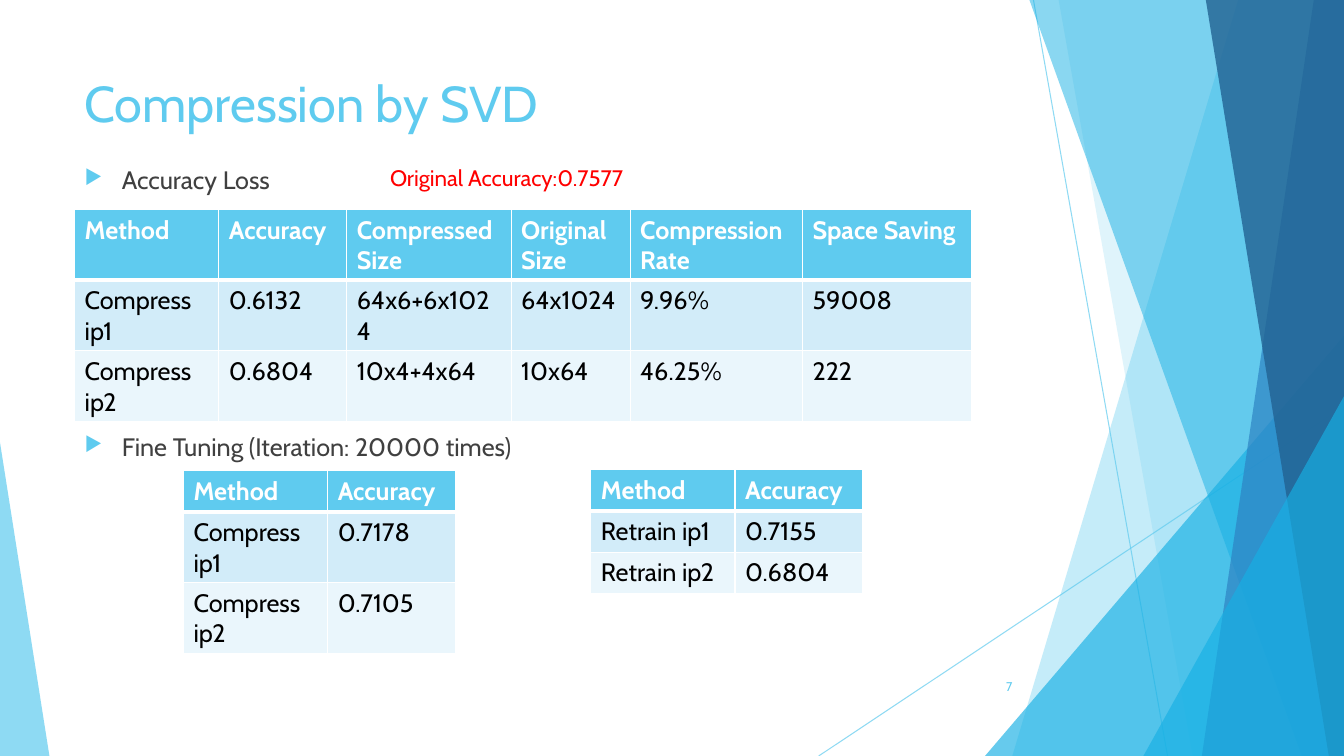
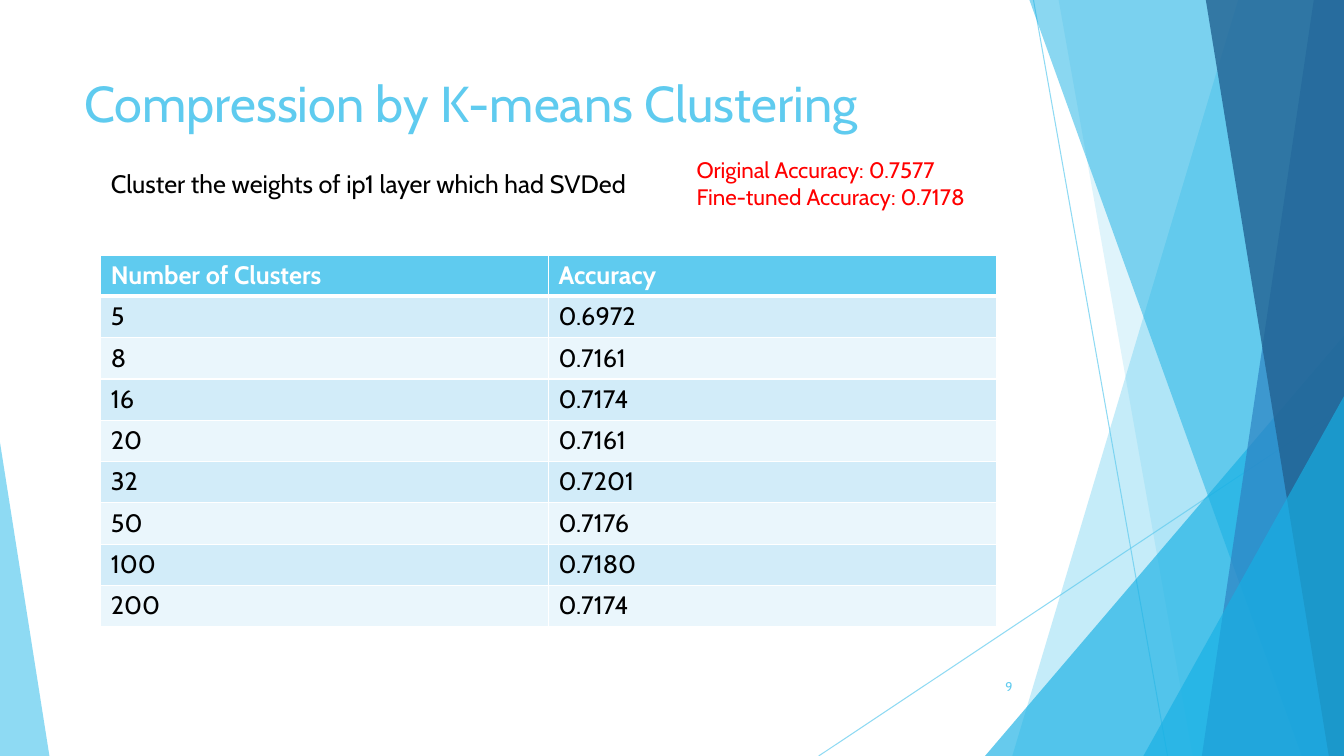
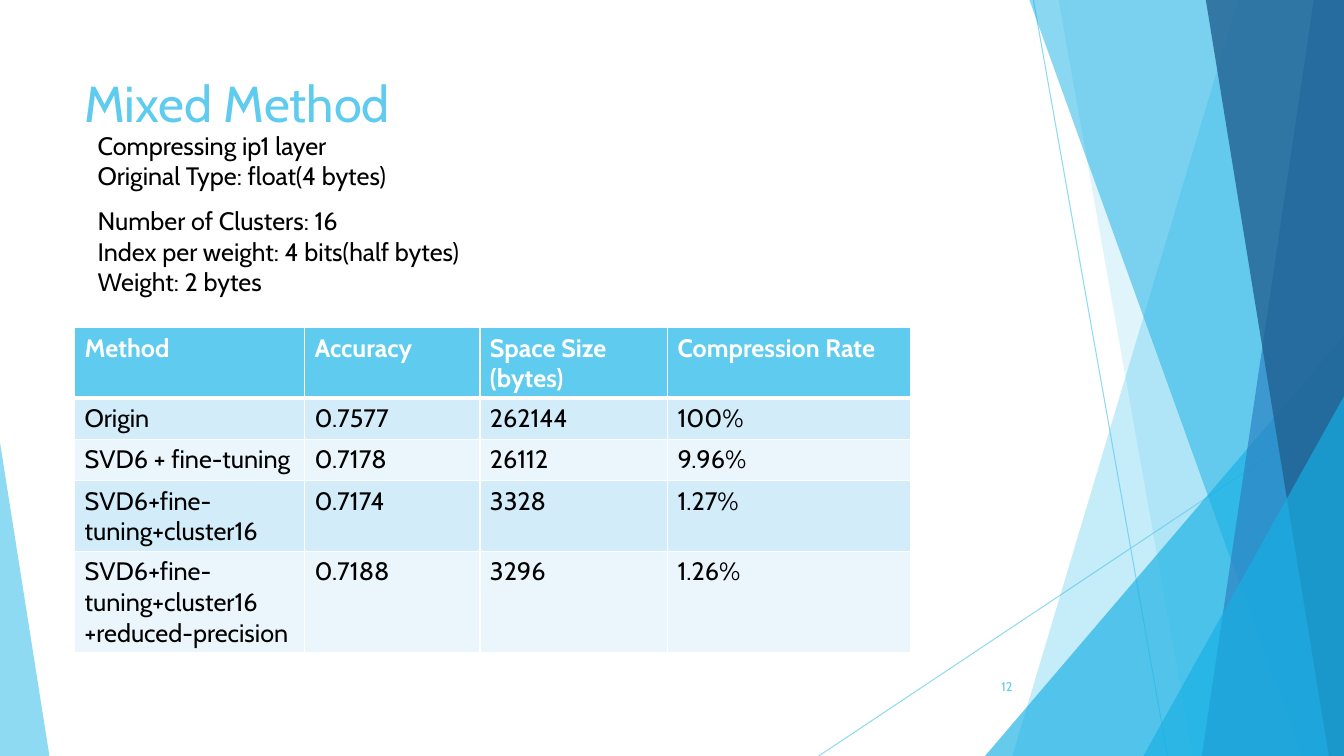
from lxml.etree import SubElement
from pptx import Presentation
from pptx.dml.color import RGBColor
from pptx.enum.shapes import MSO_CONNECTOR, MSO_SHAPE
from pptx.enum.text import MSO_ANCHOR, PP_ALIGN
from pptx.oxml import parse_xml
from pptx.oxml.ns import nsdecls, qn
from pptx.util import Inches, Pt

WIDTH, HEIGHT = 13.33, 7.5
FONT = "Cabin"
COLORS = {
    "sky": "5FCBEF", "cyan": "17B0E4", "blue": "2E83C3", "navy": "226292",
    "white": "FFFFFF", "black": "000000", "gray": "404040", "red": "FF0000",
    "band_dark": "D2ECF9", "band_light": "EAF6FC",
}
LEFT = 0.74
ROW_HEIGHT = 0.41


def rgb(name):
    return RGBColor.from_string(COLORS[name])


def set_opacity(shape, percent):
    for color in shape.element.spPr.iter(qn("a:srgbClr")):
        SubElement(color, qn("a:alpha")).set("val", str(percent * 1000))


class Slides:
    """Holds the shared style and the page being filled."""

    def __init__(self):
        self.deck = Presentation()
        self.deck.slide_width, self.deck.slide_height = Inches(WIDTH), Inches(HEIGHT)
        self.page = None

    def add_page(self, title, number):
        self.page = self.deck.slides.add_slide(self.deck.slide_layouts[6])
        self.backdrop()
        self.text(LEFT, 0.67, 9.4, 1.44, [title], 36, "sky")
        box = self.text(9.39, 6.61, 0.75, 0.4, [str(number)], 9, "sky")
        box.text_frame.vertical_anchor = MSO_ANCHOR.MIDDLE
        box.text_frame.paragraphs[0].alignment = PP_ALIGN.RIGHT

    # Backdrop of overlapping facets
    def backdrop(self):
        self.line(10.25, 0, 11.58, HEIGHT)
        self.line(WIDTH, 4.03, 8.12, HEIGHT)
        self.slab(12.28, 10.04, "sky", 36)
        self.slab(10.5, 11.83, "sky", 20)
        self.triangle(9.77, 3.33, 3.56, 1, "cyan", 66)
        self.slab(10.21, 12.91, "cyan", 50)
        self.slab(13.03, 11.92, "blue", 70)
        self.slab(11.96, 13.18, "navy", 80)
        self.triangle(11.34, 3.93, 1.99, 1, "cyan", 66)
        self.triangle(0, 4.39, 0.49, 0, "sky", 70)

    def line(self, x1, y1, x2, y2):
        line = self.page.shapes.add_connector(
            MSO_CONNECTOR.STRAIGHT, Inches(x1), Inches(y1), Inches(x2), Inches(y2))
        line.line.color.rgb = rgb("sky")
        line.line.width = Pt(0.75)
        set_opacity(line, 70)
        SubElement(line.element.spPr, qn("a:effectLst"))

    def slab(self, top_x, bottom_x, color, opacity):
        """Full-height area from a slanted left edge to the right slide edge."""
        builder = self.page.shapes.build_freeform(Inches(top_x), 0)
        corners = [(WIDTH, 0), (WIDTH, HEIGHT), (bottom_x, HEIGHT)]
        builder.add_line_segments([(Inches(x), Inches(y)) for x, y in corners])
        self.paint(builder.convert_to_shape(), color, opacity)

    def triangle(self, left, top, width, apex, color, opacity):
        shape = self.page.shapes.add_shape(
            MSO_SHAPE.ISOSCELES_TRIANGLE, Inches(left), Inches(top),
            Inches(width), Inches(HEIGHT - top))
        shape.adjustments[0] = apex
        self.paint(shape, color, opacity)

    def paint(self, shape, color, opacity):
        shape.fill.solid()
        shape.fill.fore_color.rgb = rgb(color)
        shape.line.fill.background()
        shape.shadow.inherit = False
        set_opacity(shape, opacity)

    # Text
    def style(self, para, size, color, bold=False):
        para.font.name = FONT
        para.font.size = Pt(size)
        para.font.bold = bold
        para.font.color.rgb = rgb(color)

    def text(self, left, top, width, height, lines, size=18, color="black"):
        box = self.page.shapes.add_textbox(
            Inches(left), Inches(top), Inches(width), Inches(height))
        box.text_frame.word_wrap = True
        box.text_frame.text = "\n".join(lines)
        for para in box.text_frame.paragraphs:
            self.style(para, size, color)
        return box

    def bullet(self, top, line):
        box = self.text(LEFT, top, 9.4, 0.4, [line], 18, "gray")
        props = box.text_frame.paragraphs[0]._p.get_or_add_pPr()
        props.set("marL", str(Inches(0.37)))
        props.set("indent", str(Inches(-0.37)))
        marks = (
            f'<a:buClr {nsdecls("a")}><a:srgbClr val="{COLORS["sky"]}"/></a:buClr>',
            f'<a:buSzPct {nsdecls("a")} val="80000"/>',
            f'<a:buChar {nsdecls("a")} char="▶"/>',
        )
        for index, mark in enumerate(marks):
            props.insert(index, parse_xml(mark))

    # Tables
    def table(self, left, top, widths, rows):
        frame = self.page.shapes.add_table(
            len(rows), len(widths), Inches(left), Inches(top),
            Inches(sum(widths)), Inches(ROW_HEIGHT * len(rows)))
        table = frame.table
        table.horz_banding = False
        for column, width in zip(table.columns, widths):
            column.width = Inches(width)
        for row_index, row in enumerate(rows):
            table.rows[row_index].height = Inches(ROW_HEIGHT)
            for column_index, value in enumerate(row):
                self.cell(table.cell(row_index, column_index), value, row_index)

    def cell(self, cell, value, row_index):
        header = row_index == 0
        band = "sky" if header else "band_dark" if row_index % 2 else "band_light"
        cell.text = value
        for para in cell.text_frame.paragraphs:
            self.style(para, 18, "white" if header else "black", header)
        cell.fill.solid()
        cell.fill.fore_color.rgb = rgb(band)
        # A heavier rule separates the header from the body
        borders = {"L": 1, "R": 1, "T": 3 if row_index == 1 else 1, "B": 3 if header else 1}
        props = cell._tc.get_or_add_tcPr()
        for index, (side, points) in enumerate(borders.items()):
            props.insert(index, parse_xml(
                f'<a:ln{side} {nsdecls("a")} w="{Pt(points)}"><a:solidFill>'
                f'<a:srgbClr val="{COLORS["white"]}"/></a:solidFill></a:ln{side}>'))


def main():
    slides = Slides()

    # Compression by SVD
    slides.add_page("Compression by SVD", 7)
    slides.bullet(1.58, "Accuracy Loss")
    slides.bullet(4.23, "Fine Tuning (Iteration: 20000 times)")
    slides.table(LEFT, 2.08, [1.43, 1.27, 1.63, 1.18, 1.71, 1.68], [
        ["Method", "Accuracy", "Compressed Size", "Original Size",
         "Compression Rate", "Space Saving"],
        ["Compress ip1", "0.6132", "64x6+6x1024", "64x1024", "9.96%", "59008"],
        ["Compress ip2", "0.6804", "10x4+4x64", "10x64", "46.25%", "222"],
    ])
    slides.text(3.77, 1.58, 2.96, 0.37, ["Original Accuracy:0.7577"], 16, "red")
    for left, top, method, scores in [
        (1.82, 4.67, "Compress", ["0.7178", "0.7105"]),
        (5.86, 4.66, "Retrain", ["0.7155", "0.6804"]),
    ]:
        layers = [[f"{method} ip{i}", score] for i, score in enumerate(scores, 1)]
        slides.table(left, top, [1.43, 1.27], [["Method", "Accuracy"], *layers])

    # Compression by K-means clustering
    slides.add_page("Compression by K-means Clustering", 9)
    slides.table(1, 2.53, [4.44, 4.44], [
        ["Number of Clusters", "Accuracy"],
        ["5", "0.6972"], ["8", "0.7161"], ["16", "0.7174"], ["20", "0.7161"],
        ["32", "0.7201"], ["50", "0.7176"], ["100", "0.7180"], ["200", "0.7174"],
    ])
    slides.text(1, 1.62, 6.29, 0.4, ["Cluster the weights of ip1 layer which had SVDed"])
    slides.text(6.81, 1.5, 3.08, 0.64,
                ["Original Accuracy: 0.7577", "Fine-tuned Accuracy: 0.7178"], 16, "red")

    # Mixed method
    slides.add_page("Mixed Method", 12)
    slides.table(LEFT, 3.25, [2.28, 1.74, 1.86, 2.41], [
        ["Method", "Accuracy", "Space Size (bytes)", "Compression Rate"],
        ["Origin", "0.7577", "262144", "100%"],
        ["SVD6 + fine-tuning", "0.7178", "26112", "9.96%"],
        ["SVD6+fine-tuning+cluster16", "0.7174", "3328", "1.27%"],
        ["SVD6+fine-tuning+cluster16\n+reduced-precision", "0.7188", "3296", "1.26%"],
    ])
    slides.text(0.87, 1.99, 4.29, 1.01, [
        "Number of Clusters: 16", "Index per weight: 4 bits(half bytes)", "Weight: 2 bytes"])
    slides.text(0.87, 1.24, 3.52, 0.71,
                ["Compressing ip1 layer", "Original Type: float(4 bytes)"])

    slides.deck.save("out.pptx")


if __name__ == "__main__":
    main()
